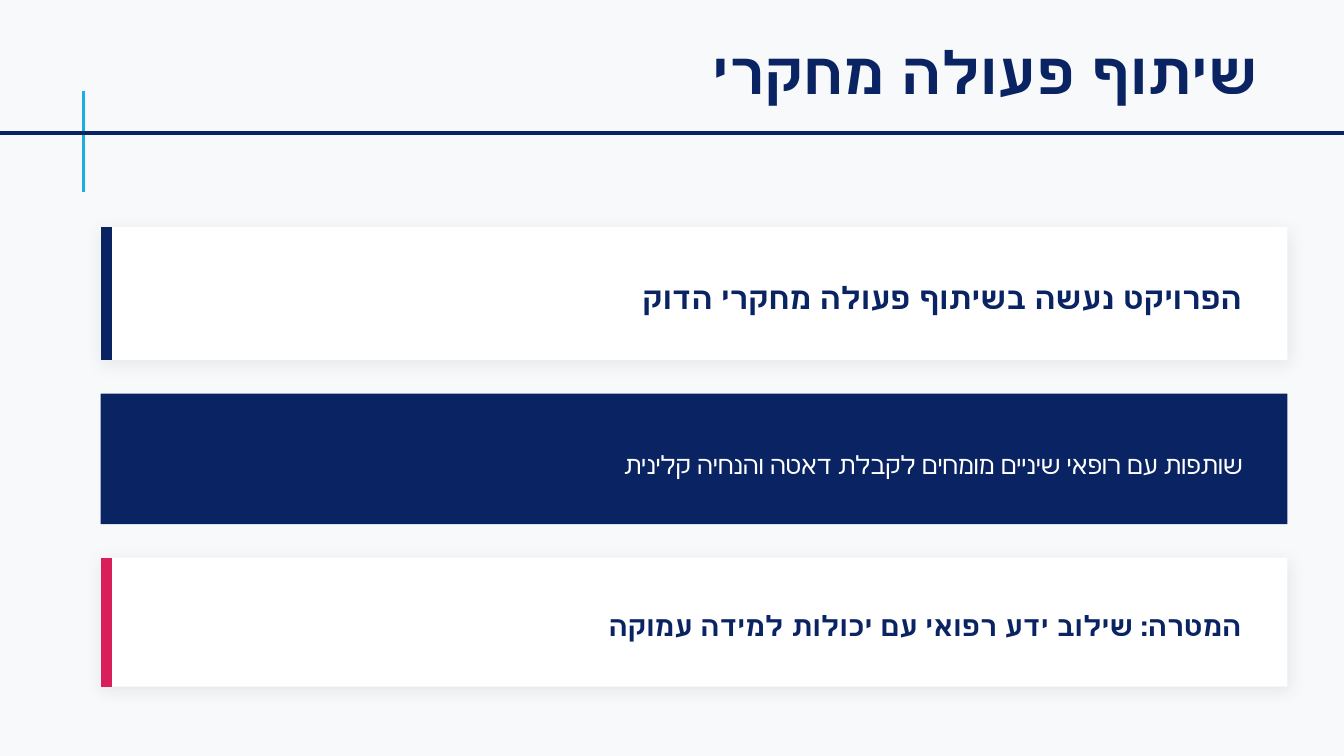
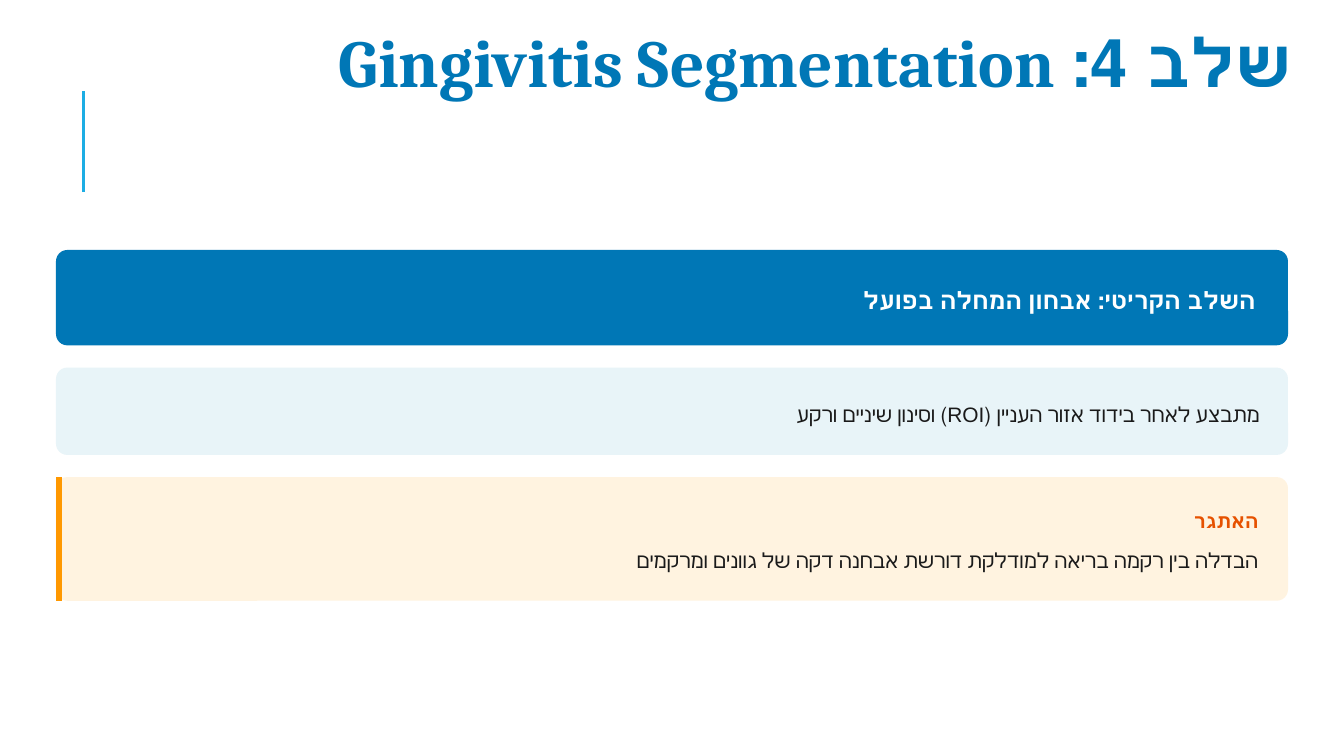
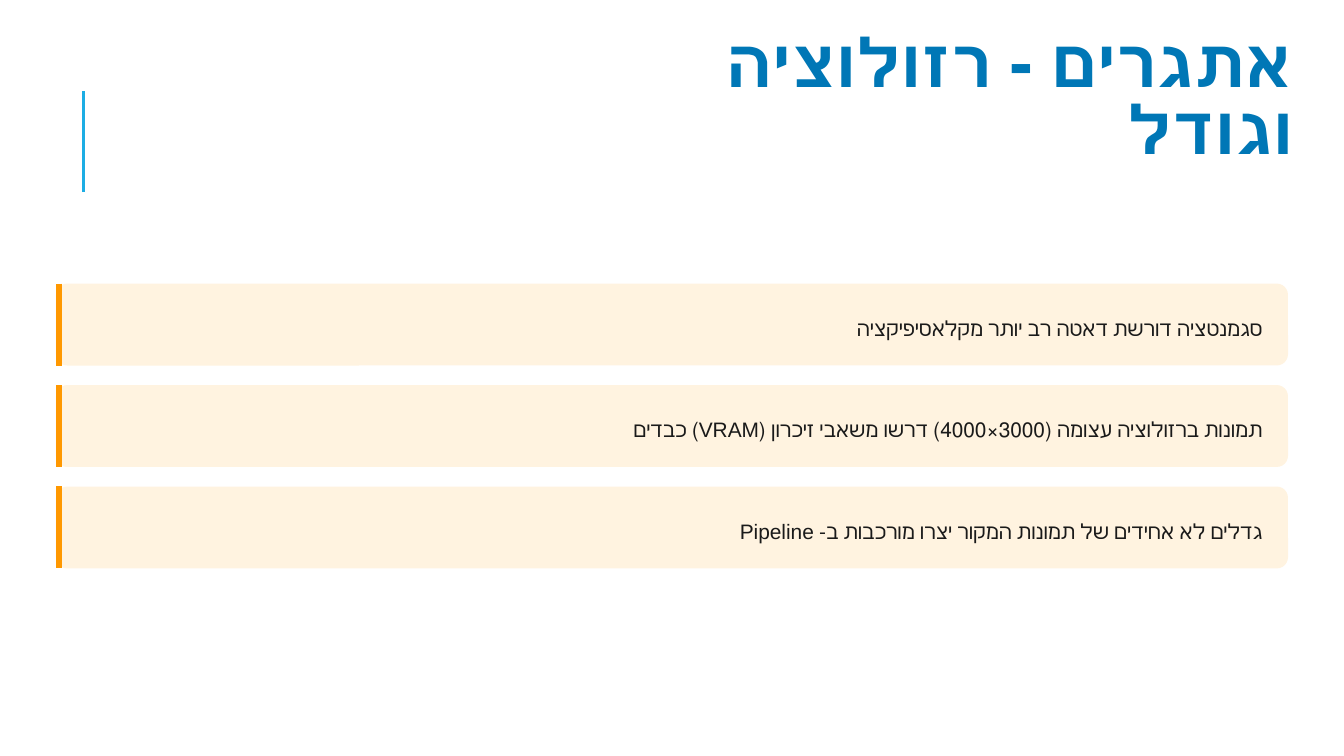
"""Builds three right-to-left slides about a dental imaging project."""
import dataclasses

import lxml.etree
import pptx
import pptx.dml.color
import pptx.enum.shapes
import pptx.enum.text
import pptx.oxml.ns
import pptx.util


@dataclasses.dataclass(frozen=True)
class TextStyle:
    """Type settings of one line of text."""
    size: float
    leading: float
    color: str
    bold: bool = False
    font: str = "Arial"
    after: float = 0


@dataclasses.dataclass(frozen=True)
class CardStyle:
    """Look of a card: pad is the left and right text inset in grid units."""
    fill: str
    pad: tuple
    accent: str = ""
    accent_width: float = 0
    rounded: bool = True
    shadow: bool = False


class Theme:
    """Colours, type sizes and card looks of the deck."""
    NAVY, BLUE, CYAN, PINK = "0A2463", "0077B6", "1CADE4", "D81E5B"
    ORANGE, RUST, INK = "FF9800", "E65100", "1A1A1A"
    WHITE, MIST, ICE, CREAM = "FFFFFF", "F8F9FA", "E8F4F8", "FFF3E0"
    RADIUS = 0.84

    TITLE_NAVY = TextStyle(31.5, 31.5, NAVY, True, "Cambria")
    TITLE_BLUE = TextStyle(36, 36, BLUE, True, "Cambria")
    LEAD = TextStyle(16.5, 23.1, NAVY, True)
    GOAL = TextStyle(15, 21, NAVY, True)
    PARTNER = TextStyle(13.5, 21.6, WHITE)
    KEY = TextStyle(12.8, 17.9, WHITE, True)
    LABEL = TextStyle(10.5, 14.7, RUST, True, after=4.5)
    BODY = TextStyle(11.2, 16.9, INK)

    NAVY_EDGE = CardStyle(WHITE, (2.5, 3.4), NAVY, 6, False, True)
    PINK_EDGE = CardStyle(WHITE, (2.5, 3.4), PINK, 6, False, True)
    NAVY_FILL = CardStyle(NAVY, (1.7, 3.3), rounded=False)
    BLUE_FILL = CardStyle(BLUE, (0.5, 2.4))
    ICE_FILL = CardStyle(ICE, (0.3, 2.1))
    CHALLENGE = CardStyle(CREAM, (0.7, 2.2), ORANGE, 3)
    ISSUE = CardStyle(CREAM, (0.5, 1.9), ORANGE, 3)


class Deck:
    """Draws on the current slide with a square grid of 100 columns."""
    COLS = 100

    def __init__(self, theme):
        self.theme = theme
        self.prs = pptx.Presentation()
        self.prs.slide_width = pptx.util.Inches(10)
        self.prs.slide_height = pptx.util.Inches(5.625)
        self.layout = self.prs.slide_layouts[5]
        self.slide = None

    def grid(self, *units):
        return [round(u * self.prs.slide_width / self.COLS) for u in units]

    def points(self, pt):
        return pptx.util.Pt(pt) * self.COLS / self.prs.slide_width

    def rgb(self, color):
        return pptx.dml.color.RGBColor.from_string(color)

    def start(self, background):
        self.slide = self.prs.slides.add_slide(self.layout)
        fill = self.slide.background.fill
        fill.solid()
        fill.fore_color.rgb = self.rgb(background)
        if len(self.prs.slides) == 1:
            mark = self.line(6.2, 14.3, 6.2, 6.8, self.theme.CYAN, 1.5)
            self.layout.shapes.element.append(mark.element)

    def effects(self, sp):
        return lxml.etree.SubElement(sp.element.spPr, pptx.oxml.ns.qn("a:effectLst"))

    def line(self, x1, y1, x2, y2, color, width):
        sp = self.slide.shapes.add_connector(
            pptx.enum.shapes.MSO_CONNECTOR.STRAIGHT, *self.grid(x1, y1, x2, y2))
        sp.line.color.rgb = self.rgb(color)
        sp.line.width = pptx.util.Pt(width)
        self.effects(sp)
        return sp

    def set_text(self, sp, text, style, insets=(0, 0, 0, 0)):
        tf = sp.text_frame
        tf.word_wrap = True
        tf.auto_size = pptx.enum.text.MSO_AUTO_SIZE.NONE
        tf.vertical_anchor = pptx.enum.text.MSO_ANCHOR.TOP
        (tf.margin_left, tf.margin_top,
         tf.margin_right, tf.margin_bottom) = self.grid(*insets)
        p = tf.paragraphs[0]
        p.text = text
        p.alignment = pptx.enum.text.PP_ALIGN.RIGHT
        p.line_spacing = pptx.util.Pt(style.leading)
        p.space_before = pptx.util.Pt(0)
        p.space_after = pptx.util.Pt(style.after)
        p.font.size = pptx.util.Pt(style.size)
        p.font.bold = style.bold
        p.font.name = style.font
        p.font.color.rgb = self.rgb(style.color)
        p._p.get_or_add_pPr().set("rtl", "1")

    def title(self, text, style, box, insets):
        sp = self.slide.shapes.title
        sp.left, sp.top, sp.width, sp.height = self.grid(*box)
        self.set_text(sp, text, style, insets)

    def soft_shadow(self, sp):
        shadow = lxml.etree.SubElement(
            self.effects(sp), pptx.oxml.ns.qn("a:outerShdw"),
            blurRad=str(pptx.util.Pt(9)), dist=str(pptx.util.Pt(1.5)),
            dir="5400000", algn="bl", rotWithShape="0")
        color = lxml.etree.SubElement(shadow, pptx.oxml.ns.qn("a:srgbClr"), val="000000")
        lxml.etree.SubElement(color, pptx.oxml.ns.qn("a:alpha"), val="8000")

    def card(self, x, y, w, h, style, lines):
        kinds = pptx.enum.shapes.MSO_SHAPE
        kind = kinds.ROUNDED_RECTANGLE if style.rounded else kinds.RECTANGLE
        sp = self.slide.shapes.add_shape(kind, *self.grid(x, y, w, h))
        sp.fill.solid()
        sp.fill.fore_color.rgb = self.rgb(style.fill)
        sp.line.fill.background()
        if style.rounded:
            sp.adjustments[0] = self.theme.RADIUS / h
        if style.shadow:
            self.soft_shadow(sp)
        else:
            sp.shadow.inherit = False
        if style.accent:
            edge = x + self.points(style.accent_width) / 2
            self.line(edge, y, edge, y + h, style.accent, style.accent_width)
        left, right = style.pad
        heights = [self.points(t.leading + t.after) for _, t in lines]
        line_top = y + (h - sum(heights)) / 2
        for (text, text_style), height in zip(lines, heights):
            box = self.slide.shapes.add_textbox(*self.grid(
                x + left, line_top, w - left - right, self.points(text_style.leading)))
            self.set_text(box, text, text_style)
            line_top += height

    def stack(self, x, y, w, gap, cards):
        for height, style, lines in cards:
            self.card(x, y, w, height, style, lines)
            y += height + gap


def research(deck, t):
    deck.start(t.MIST)
    deck.line(0, 9.9, deck.COLS, 9.9, t.NAVY, 2.25)
    deck.title("שיתוף פעולה מחקרי", t.TITLE_NAVY,
               (47.3, 0, 49.4, 9.8), (3.1, 3.5, 3.1, 1.9))
    deck.stack(7.5, 16.9, 88.3, 2.5, [
        (9.9, t.NAVY_EDGE, [("הפרויקט נעשה בשיתוף פעולה מחקרי הדוק", t.LEAD)]),
        (9.7, t.NAVY_FILL, [
            ("שותפות עם רופאי שיניים מומחים לקבלת דאטה והנחיה קלינית", t.PARTNER)]),
        (9.6, t.PINK_EDGE, [
            ("המטרה: שילוב ידע רפואי עם יכולות למידה עמוקה", t.GOAL)]),
    ])


def segmentation(deck, t):
    deck.start(t.WHITE)
    deck.title("שלב 4: Gingivitis Segmentation", t.TITLE_BLUE,
               (12.9, 0, 85.3, 8.5), (2.1, 2.5, 2.1, 1))
    deck.stack(4.17, 18.6, 91.67, 1.65, [
        (7.1, t.BLUE_FILL, [("השלב הקריטי: אבחון המחלה בפועל", t.KEY)]),
        (6.5, t.ICE_FILL, [
            ("מתבצע לאחר בידוד אזור העניין (ROI) וסינון שיניים ורקע", t.BODY)]),
        (9.2, t.CHALLENGE, [
            ("האתגר", t.LABEL),
            ("הבדלה בין רקמה בריאה למודלקת דורשת אבחנה דקה של גוונים ומרקמים", t.BODY)]),
    ])


def resolution(deck, t):
    deck.start(t.WHITE)
    deck.title("אתגרים - רזולוציה וגודל", t.TITLE_BLUE,
               (48.4, 0, 49.9, 8.5), (2.1, 2.5, 2.1, 1))
    issues = [
        "סגמנטציה דורשת דאטה רב יותר מקלאסיפיקציה",
        "תמונות ברזולוציה עצומה (3000×4000) דרשו משאבי זיכרון (VRAM) כבדים",
        "גדלים לא אחידים של תמונות המקור יצרו מורכבות ב- Pipeline",
    ]
    deck.stack(4.17, 21.1, 91.67, 1.45,
               [(6.1, t.ISSUE, [(issue, t.BODY)]) for issue in issues])


def main():
    theme = Theme()
    deck = Deck(theme)
    for build in (research, segmentation, resolution):
        build(deck, theme)
    deck.prs.save("out.pptx")


if __name__ == "__main__":
    main()
